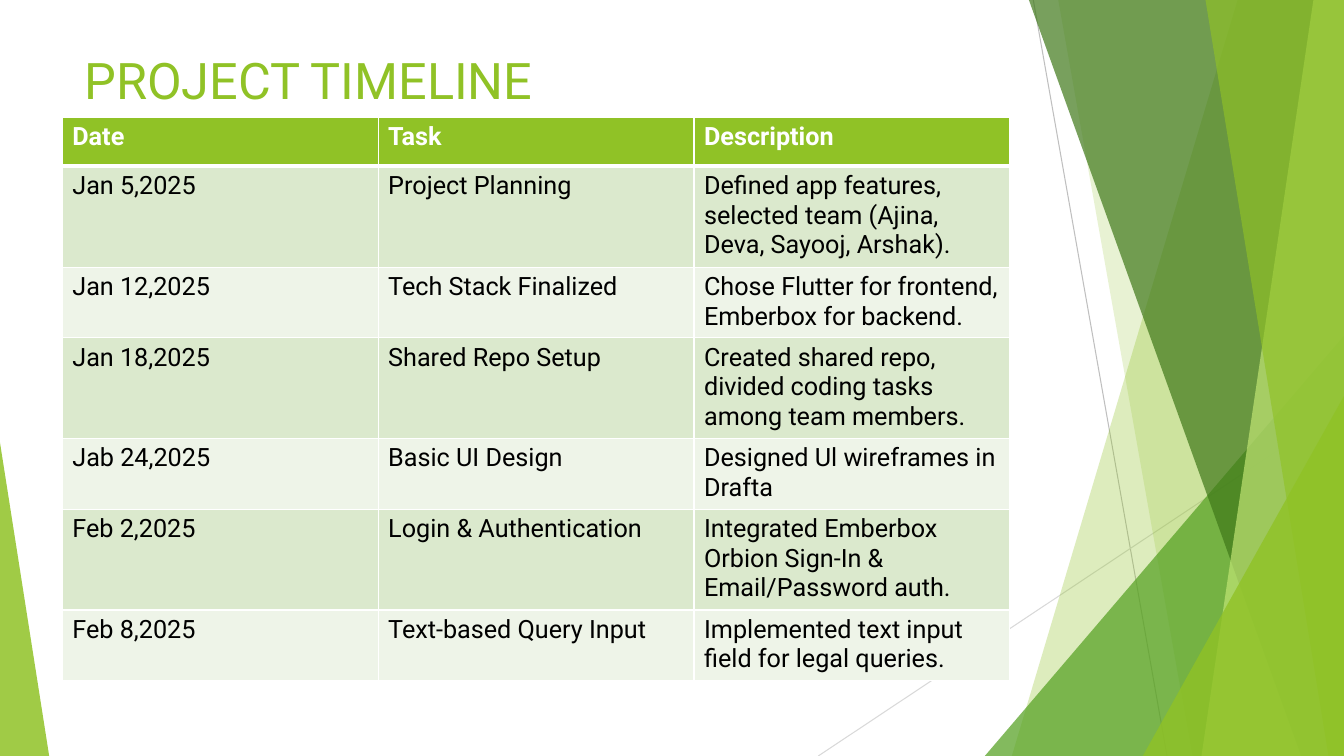
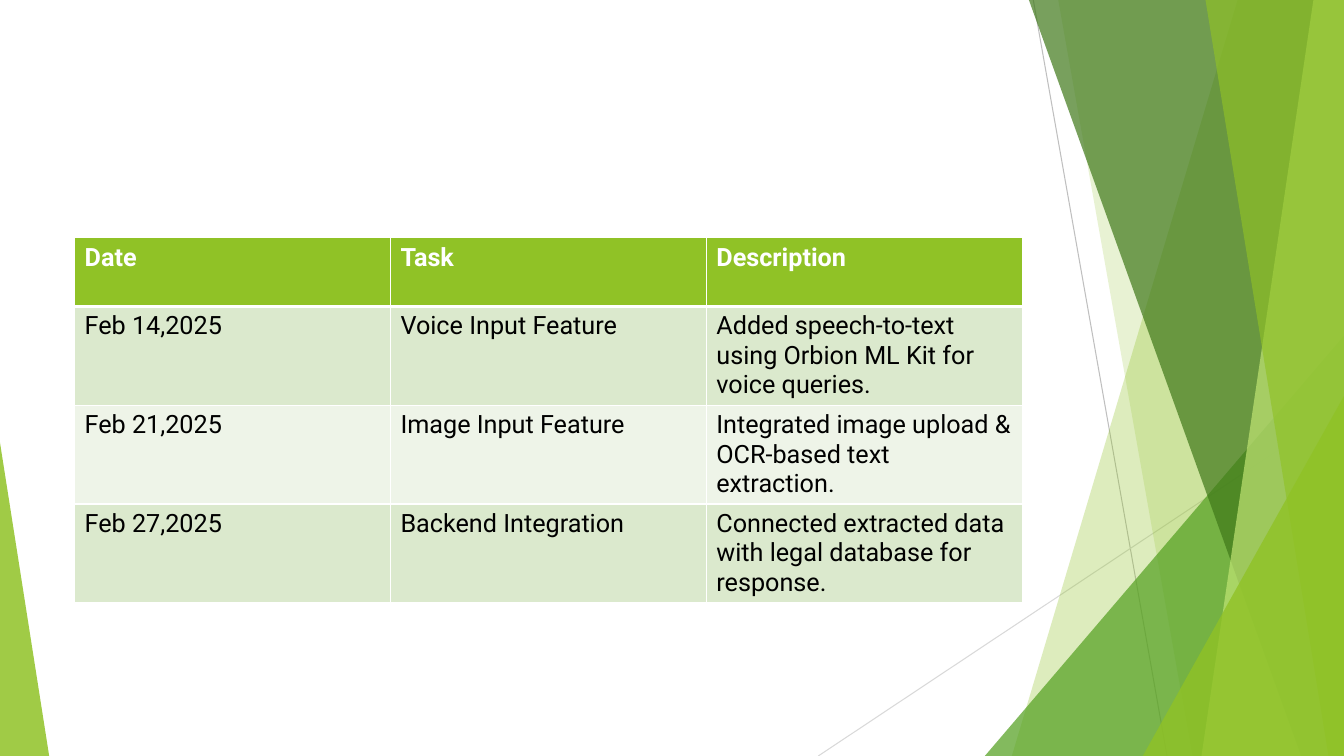
"""Build two project timeline slides with shared green facets and table styling."""
import lxml.etree
import pptx
import pptx.dml.color
import pptx.enum.shapes
import pptx.oxml
import pptx.oxml.ns
import pptx.util


class Theme:
    font = "Roboto"
    title = 36
    body = 18
    lime = "90C226"
    leaf = "54A021"
    moss = "3F7819"
    pale = "C0E474"
    bands = ["DBE9CD", "EEF4E8"]
    white = "FFFFFF"
    black = "000000"
    grays = ["BFBFBF", "D9D9D9"]


Cm = pptx.util.Cm
Pt = pptx.util.Pt
Color = pptx.dml.color.RGBColor.from_string
qn = pptx.oxml.ns.qn
WIDE, HIGH = 33.87, 19.05


def paint(shape, color, alpha):
    shape.shadow.inherit = False
    shape.line.fill.background()
    shape.fill.solid()
    shape.fill.fore_color.rgb = Color(color)
    tint = shape.fill._xPr.find(qn("a:solidFill"))[0]
    lxml.etree.SubElement(tint, qn("a:alpha")).set("val", str(alpha * 1000))


def write(frame, text, size, color, bold=False):
    frame.text = text
    font = frame.paragraphs[0].runs[0].font
    font.name = Theme.font
    font.size = Pt(size)
    font.bold = bold
    font.color.rgb = Color(color)


lines = [(26.04, 0, 29.41, HIGH), (WIDE, 10.24, 20.62, HIGH)]
facets = [
    ("band", 31.19, 25.5, Theme.lime, 30),
    ("band", 26.67, 30.05, Theme.lime, 20),
    ("right", 24.82, 8.46, Theme.leaf, 72),
    ("band", 25.93, 32.79, Theme.moss, 70),
    ("band", 33.1, 30.28, Theme.pale, 70),
    ("band", 30.38, 33.48, Theme.lime, 65),
    ("right", 28.8, 9.98, Theme.lime, 80),
    ("left", 1.24, 11.15, Theme.lime, 85),
]

head = ("Date", "Task", "Description")
pages = [
    ("PROJECT TIMELINE", 1.57, 2.95, 1.24, [
        ("Jan 5,2025", "Project Planning",
         "Defined app features, selected team (Ajina, Deva, Sayooj, Arshak)."),
        ("Jan 12,2025", "Tech Stack Finalized",
         "Chose Flutter for frontend, Emberbox for backend."),
        ("Jan 18,2025", "Shared Repo Setup",
         "Created shared repo, divided coding tasks among team members."),
        ("Jab 24,2025", "Basic UI Design",
         "Designed Ul wireframes in Drafta"),
        ("Feb 2,2025", "Login & Authentication",
         "Integrated Emberbox Orbion Sign-In & Email/Password auth."),
        ("Feb 8,2025", "Text-based Query Input",
         "Implemented text input field for legal queries."),
    ]),
    (None, 1.88, 5.99, 1.73, [
        ("Feb 14,2025", "Voice Input Feature",
         "Added speech-to-text using Orbion ML Kit for voice queries."),
        ("Feb 21,2025", "Image Input Feature",
         "Integrated image upload & OCR-based text extraction."),
        ("Feb 27,2025", "Backend Integration",
         "Connected extracted data with legal database for response."),
    ]),
]

deck = pptx.Presentation()
deck.slide_width, deck.slide_height = Cm(WIDE), Cm(HIGH)

for title, left, top, tall, tasks in pages:
    slide = deck.slides.add_slide(deck.slide_layouts[6])
    shapes = slide.shapes

    for ends, gray in zip(lines, Theme.grays):
        line = shapes.add_connector(
            pptx.enum.shapes.MSO_CONNECTOR.STRAIGHT, *map(Cm, ends))
        line.line.color.rgb = Color(gray)
        line.line.width = Pt(0.75)
        lxml.etree.SubElement(line._element.spPr, qn("a:effectLst"))

    for kind, across, down, color, alpha in facets:
        if kind == "band":
            pen = shapes.build_freeform(Cm(across), 0)
            pen.add_line_segments(
                [(Cm(WIDE), 0), (Cm(WIDE), Cm(HIGH)), (Cm(down), Cm(HIGH))])
            facet = pen.convert_to_shape()
        else:
            start, end = (0, across) if kind == "left" else (across, WIDE)
            facet = shapes.add_shape(
                pptx.enum.shapes.MSO_SHAPE.ISOSCELES_TRIANGLE,
                Cm(start), Cm(down), Cm(end - start), Cm(HIGH - down))
            facet.adjustments[0] = 0 if kind == "left" else 1
        paint(facet, color, alpha)

    if title:
        box = shapes.add_textbox(Cm(1.88), Cm(1.12), Cm(23.88), Cm(4.24))
        box.text_frame.word_wrap = True
        write(box.text_frame, title, Theme.title, Theme.lime)

    rows = [head] + tasks
    table = shapes.add_table(
        len(rows), len(head), Cm(left), Cm(top),
        Cm(7.96 * len(head)), Cm(tall * len(rows))).table
    for col in table.columns:
        col.width = Cm(7.96)
    for r, row in enumerate(rows):
        table.rows[r].height = Cm(tall)
        for c, text in enumerate(row):
            cell = table.cell(r, c)
            first = r == 0
            write(cell.text_frame, text, Theme.body,
                  Theme.white if first else Theme.black, first)
            cell.fill.solid()
            cell.fill.fore_color.rgb = Color(
                Theme.lime if first else Theme.bands[(r - 1) % 2])
            props = cell._tc.get_or_add_tcPr()
            for spot, side in enumerate("LRTB"):
                thick = (r, side) in [(0, "B"), (1, "T")]
                edge = pptx.oxml.parse_xml(
                    f'<a:ln{side} {pptx.oxml.ns.nsdecls("a")} w="{Pt(3 if thick else 1)}">'
                    f'<a:solidFill><a:srgbClr val="{Theme.white}"/></a:solidFill>'
                    f'</a:ln{side}>')
                props.insert(spot, edge)

deck.save("out.pptx")
